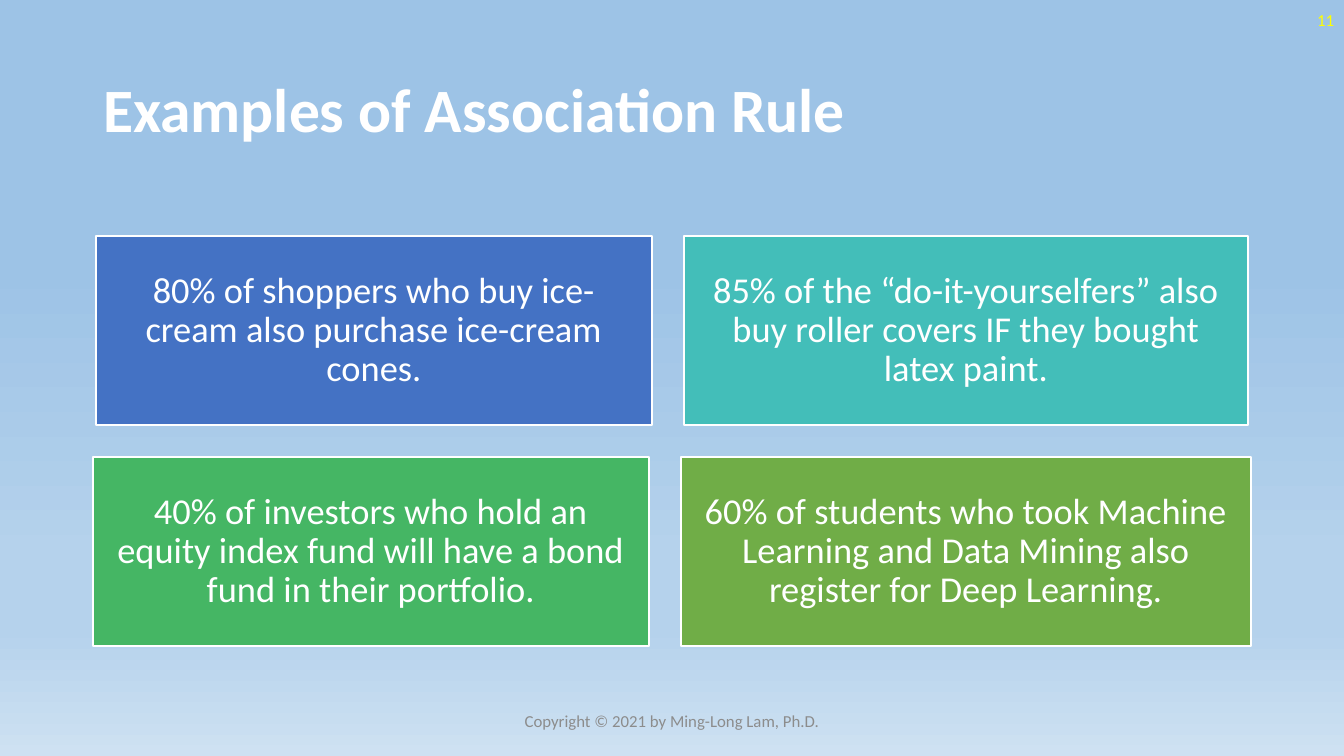
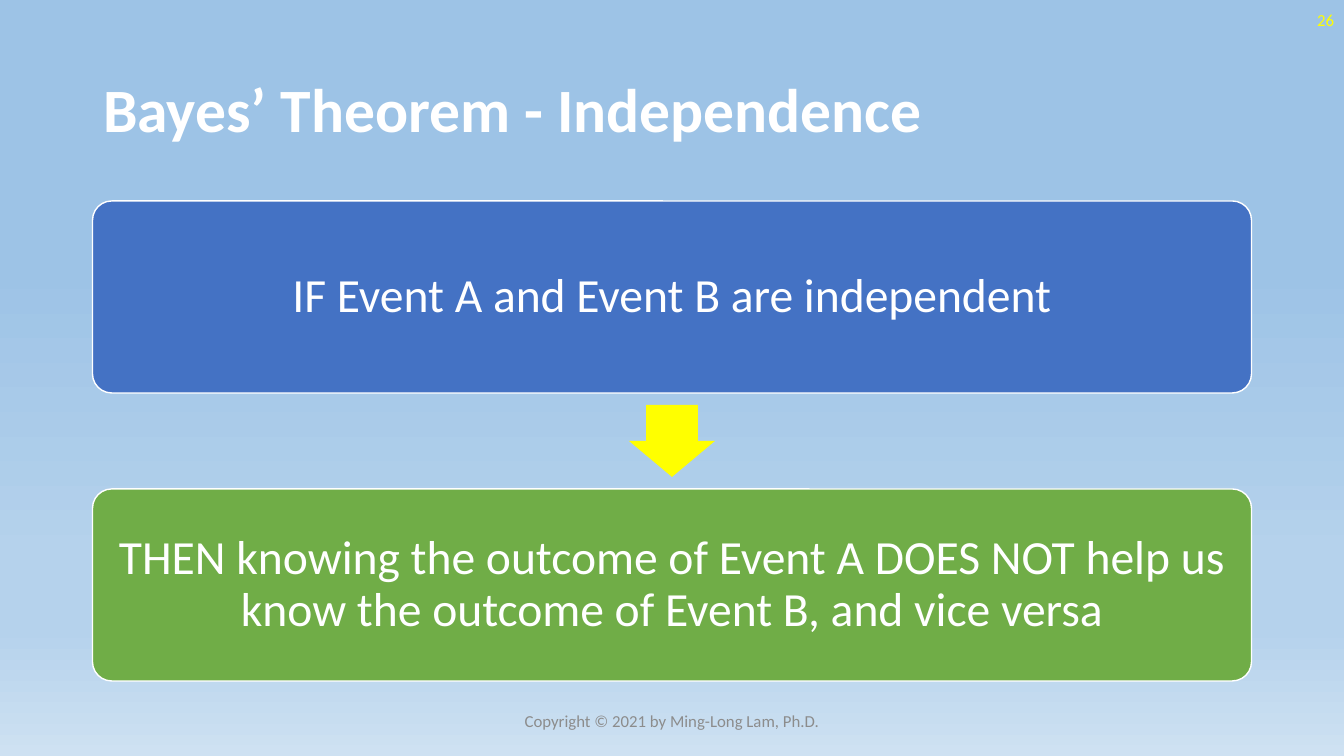
import pptx
import pptx.util
import pptx.dml.color
import pptx.enum.shapes
import pptx.enum.text
import pptx.oxml.ns
import lxml.etree
from dataclasses import dataclass

KIND = pptx.enum.shapes.MSO_SHAPE
ALIGN = pptx.enum.text.PP_ALIGN
MID = pptx.enum.text.MSO_ANCHOR.MIDDLE
FIXED = pptx.enum.text.MSO_AUTO_SIZE.NONE

FOOTER = "Copyright © 2021 by Ming-Long Lam, Ph.D."
RULES = {
    "title": "Examples of Association Rule",
    "number": "11",
    "rows": [
        [("80% of shoppers who buy ice-cream also purchase ice-cream cones.", 556, "blue"),
         ("85% of the “do-it-yourselfers” also buy roller covers IF they bought latex paint.", 564, "teal")],
        [("40% of investors who hold an equity index fund will have a bond fund in their portfolio.", 556, "green"),
         ("60% of students who took Machine Learning and Data Mining also register for Deep Learning.", 570, "olive")],
    ],
}
BAYES = {
    "title": "Bayes’ Theorem - Independence",
    "number": "26",
    "steps": [
        ("IF Event A and Event B are independent", "blue"),
        ("THEN knowing the outcome of Event A DOES NOT help us know the outcome of Event B, and vice versa", "olive"),
    ],
}


@dataclass(frozen=True)
class Theme:
    font: str = "Calibri"
    white: str = "FFFFFF"
    yellow: str = "FFFF00"
    gray: str = "8C8C8C"
    blue: str = "4472C4"
    teal: str = "43BEB9"
    green: str = "45B664"
    olive: str = "70AD47"
    sky: tuple = ((35, "9DC3E6"), (74, "B5D2EC"), (83, "B5D2EC"), (100, "CEE1F2"))
    head: int = 44
    step: int = 34
    card: int = 26
    small: int = 12


THEME = Theme()
WIDE, HIGH = 1344, 756


def px(num):
    return pptx.util.Emu(round(num * 914400 / 100.8))


def rgb(code):
    return pptx.dml.color.RGBColor.from_string(code)


def apply(item, values):
    for name, value in values.items():
        setattr(item, name, value)


def place(shape, left, top, width, height):
    apply(shape, dict(left=px(left), top=px(top), width=px(width), height=px(height)))


def write(shape, text, size, color, align, inset=None, bold=False, space=1.0):
    frame = shape.text_frame
    apply(frame, dict(text=text, word_wrap=True, auto_size=FIXED, vertical_anchor=MID))
    if inset is not None:
        sides = ("left", "right", "top", "bottom")
        apply(frame, {f"margin_{side}": px(inset) for side in sides})
    para = frame.paragraphs[0]
    apply(para, dict(alignment=align, line_spacing=space))
    apply(para.font, dict(name=THEME.font, size=pptx.util.Pt(size), bold=bold))
    para.font.color.rgb = rgb(color)


def label(slide, text, color, align, *area):
    box = slide.shapes.add_textbox(*map(px, area))
    write(box, text, THEME.small, color, align)


def block(slide, kind, fill, area, edge=True):
    shape = slide.shapes.add_shape(kind, *map(px, area))
    shape.shadow.inherit = False
    shape.fill.solid()
    shape.fill.fore_color.rgb = rgb(fill)
    if edge:
        shape.line.color.rgb = rgb(THEME.white)
        shape.line.width = pptx.util.Pt(1)
    else:
        shape.line.fill.background()
    return shape


def paint(master):
    fill = master.background.fill
    fill.gradient()
    fill.gradient_angle = 270
    qn = pptx.oxml.ns.qn
    stops = next(master.element.iter(qn("a:gsLst")))
    for old in list(stops):
        stops.remove(old)
    for pos, code in THEME.sky:
        stop = lxml.etree.SubElement(stops, qn("a:gs"), pos=str(pos * 1000))
        lxml.etree.SubElement(stop, qn("a:srgbClr"), val=code)


def start(deck, data):
    slide = deck.slides.add_slide(deck.slide_layouts[5])
    title = slide.shapes.title
    place(title, 93, 40, 1159, 146)
    write(title, data["title"], THEME.head, THEME.white, ALIGN.LEFT, bold=True, space=0.9)
    label(slide, data["number"], THEME.yellow, ALIGN.RIGHT, 1042, 0, 302, 40)
    label(slide, FOOTER, THEME.gray, ALIGN.CENTER, 445, 701, 454, 40)
    return slide


def cards(deck, data):
    slide = start(deck, data)
    top, height, gap = 236, 189, 32
    for row in data["rows"]:
        span = sum(width for _, width, _ in row) + gap * (len(row) - 1)
        left = (WIDE - span) / 2
        for text, width, hue in row:
            card = block(slide, KIND.RECTANGLE, getattr(THEME, hue), (left, top, width, height))
            write(card, text, THEME.card, THEME.white, ALIGN.CENTER, inset=11, space=0.9)
            left += width + gap
        top += height + gap


def steps(deck, data):
    slide = start(deck, data)
    top, width, height, gap = 201, 1159, 192, 96
    wide, tall = 86, 72
    for index, (text, hue) in enumerate(data["steps"]):
        if index:
            area = ((WIDE - wide) / 2, top - (gap + tall) / 2, wide, tall)
            arrow = block(slide, KIND.DOWN_ARROW, THEME.yellow, area, edge=False)
            arrow.adjustments[0], arrow.adjustments[1] = 0.6, 0.5
        area = ((WIDE - width) / 2, top, width, height)
        step = block(slide, KIND.ROUNDED_RECTANGLE, getattr(THEME, hue), area)
        step.adjustments[0] = 0.1
        write(step, text, THEME.step, THEME.white, ALIGN.CENTER, inset=14, space=0.9)
        top += height + gap


def main():
    deck = pptx.Presentation()
    apply(deck, dict(slide_width=px(WIDE), slide_height=px(HIGH)))
    paint(deck.slide_master)
    cards(deck, RULES)
    steps(deck, BAYES)
    deck.save("out.pptx")


if __name__ == "__main__":
    main()
